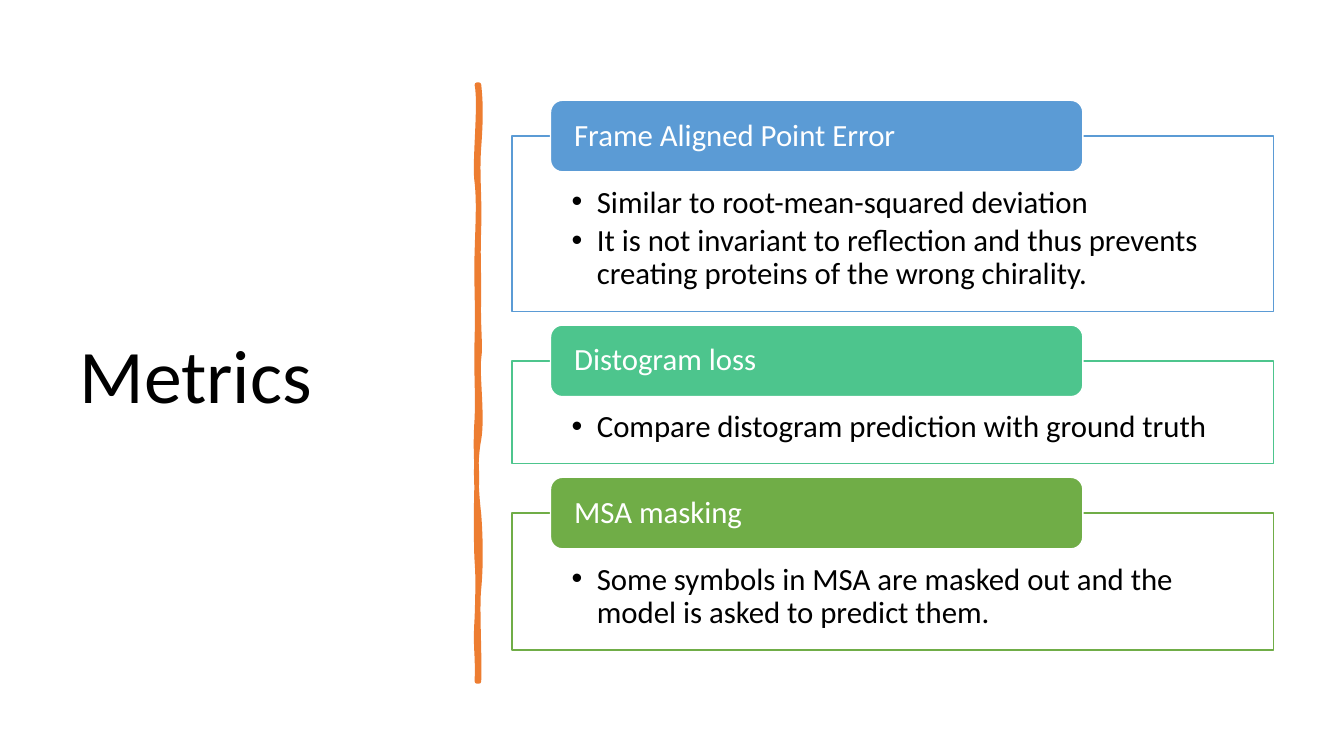
"""Build the Metrics slide: a title, a hand-drawn divider and three captioned frames."""
from lxml import etree
from pptx import Presentation, util as u
from pptx.dml.color import RGBColor
from pptx.enum import shapes, text
from pptx.oxml.ns import qn

FONT = "Calibri"
TITLE = "Metrics"
METRICS = [
    ("Frame Aligned Point Error", "5B9BD5", 1.74, [
        "Similar to root-mean-squared deviation",
        "It is not invariant to reflection and thus prevents "
        "creating proteins of the wrong chirality."]),
    ("Distogram loss", "4DC58D", 1.02, [
        "Compare distogram prediction with ground truth"]),
    ("MSA masking", "70AD47", 1.36, [
        "Some symbols in MSA are masked out and the model is asked to predict them."]),
]
DIVIDER_COLOR = "ED7D31"
DIVIDER_LEFT, DIVIDER_TOP = 4.73, 0.84
DIVIDER_START = (4.75, 0.84)
DIVIDER_CURVES = [
    ((4.77, 1.02), (4.77, 1.19), (4.75, 1.46)),
    ((4.73, 1.73), (4.76, 1.95), (4.75, 2.26)),
    ((4.74, 2.57), (4.75, 2.62), (4.75, 2.94)),
    ((4.74, 3.25), (4.77, 3.42), (4.75, 3.56)),
    ((4.73, 3.70), (4.79, 4.14), (4.75, 4.36)),
    ((4.71, 4.57), (4.72, 4.84), (4.75, 5.10)),
    ((4.77, 5.36), (4.77, 5.64), (4.75, 5.84)),
    ((4.73, 6.03), (4.76, 6.50), (4.75, 6.76)),
    ((4.74, 6.76), (4.73, 6.76), (4.73, 6.76)),
    ((4.74, 6.46), (4.71, 6.44), (4.73, 6.13)),
    ((4.74, 5.83), (4.74, 5.70), (4.73, 5.57)),
    ((4.72, 5.44), (4.72, 4.95), (4.73, 4.77)),
    ((4.73, 4.59), (4.71, 4.45), (4.73, 4.15)),
    ((4.74, 3.86), (4.72, 3.73), (4.73, 3.35)),
    ((4.74, 2.98), (4.72, 2.81), (4.73, 2.50)),
    ((4.74, 2.18), (4.75, 2.00), (4.73, 1.81)),
    ((4.70, 1.63), (4.77, 1.04), (4.73, 0.84)),
]
FRAME_LEFT, FRAME_TOP, FRAME_WIDTH, FRAME_GAP = 5.08, 1.35, 7.55, 0.49
CAPTION_LEFT, CAPTION_WIDTH, CAPTION_HEIGHT = 5.46, 5.28, 0.71


def color(value):
    return RGBColor.from_string(value)


def paint(shape, fill, line, width):
    shape.shadow.inherit = False
    shape.fill.solid()
    shape.fill.fore_color.rgb = color(fill)
    shape.line.color.rgb = color(line)
    shape.line.width = u.Pt(width)


def write(shape, lines, size, ink, anchor, insets, bullets=False):
    frame = shape.text_frame
    frame.word_wrap = True
    frame.vertical_anchor = anchor
    frame.margin_left, frame.margin_top, frame.margin_right, frame.margin_bottom = map(
        u.Inches, insets)
    for index, line in enumerate(lines):
        para = frame.paragraphs[0] if index == 0 else frame.add_paragraph()
        para.alignment = text.PP_ALIGN.LEFT
        para.line_spacing = 0.9
        if bullets:
            para.space_after = u.Pt(3.5)
            props = para._p.get_or_add_pPr()
            props.set("marL", str(u.Inches(0.25)))
            props.set("indent", str(-u.Inches(0.25)))
            etree.SubElement(props, qn("a:buFont")).set("typeface", "Arial")
            etree.SubElement(props, qn("a:buChar")).set("char", "•")
        span = para.add_run()
        span.text = line
        span.font.name = FONT
        span.font.size = u.Pt(size)
        span.font.color.rgb = color(ink)


def add_shape(page, kind, left, top, width, height):
    return page.shapes.add_shape(kind, *map(u.Inches, (left, top, width, height)))


def add_divider(page):
    builder = page.shapes.build_freeform(*map(u.Inches, DIVIDER_START))
    builder.add_line_segments([tuple(map(u.Inches, curve[-1])) for curve in DIVIDER_CURVES])
    divider = builder.convert_to_shape()
    paint(divider, DIVIDER_COLOR, DIVIDER_COLOR, 3.25)
    etree.SubElement(divider.line._get_or_add_ln(), qn("a:round"))
    segments = list(divider._element.iter(qn("a:lnTo")))
    for segment, curve in zip(segments, DIVIDER_CURVES):
        bend = etree.Element(qn("a:cubicBezTo"))
        for x, y in curve:
            point = etree.SubElement(bend, qn("a:pt"))
            point.set("x", str(u.Inches(x) - u.Inches(DIVIDER_LEFT)))
            point.set("y", str(u.Inches(y) - u.Inches(DIVIDER_TOP)))
        segment.getparent().replace(segment, bend)


def add_metric(page, top, caption, accent, height, points):
    box = add_shape(page, shapes.MSO_SHAPE.RECTANGLE, FRAME_LEFT, top, FRAME_WIDTH, height)
    paint(box, "FFFFFF", accent, 1)
    white = box._element.spPr.find(qn("a:solidFill")).find(qn("a:srgbClr"))
    etree.SubElement(white, qn("a:alpha")).set("val", "90000")
    write(box, points, 22, "000000", text.MSO_ANCHOR.TOP, (0.59, 0.5, 0.59, 0.17), True)
    label = add_shape(page, shapes.MSO_SHAPE.ROUNDED_RECTANGLE, CAPTION_LEFT,
                      top - CAPTION_HEIGHT / 2, CAPTION_WIDTH, CAPTION_HEIGHT)
    paint(label, accent, "FFFFFF", 1)
    write(label, [caption], 22, "FFFFFF", text.MSO_ANCHOR.MIDDLE, (0.2, 0, 0.2, 0))


def main():
    deck = Presentation()
    deck.slide_width, deck.slide_height = u.Inches(13.33), u.Inches(7.5)
    page = deck.slides.add_slide(deck.slide_layouts[6])
    title = page.shapes.add_textbox(*map(u.Inches, (0.69, 0.7, 3.74, 6.11)))
    write(title, [TITLE], 54, "000000", text.MSO_ANCHOR.MIDDLE, (0.1, 0.05, 0.1, 0.05))
    add_divider(page)
    top = FRAME_TOP
    for caption, accent, height, points in METRICS:
        add_metric(page, top, caption, accent, height, points)
        top += height + FRAME_GAP
    deck.save("out.pptx")


if __name__ == "__main__":
    main()
